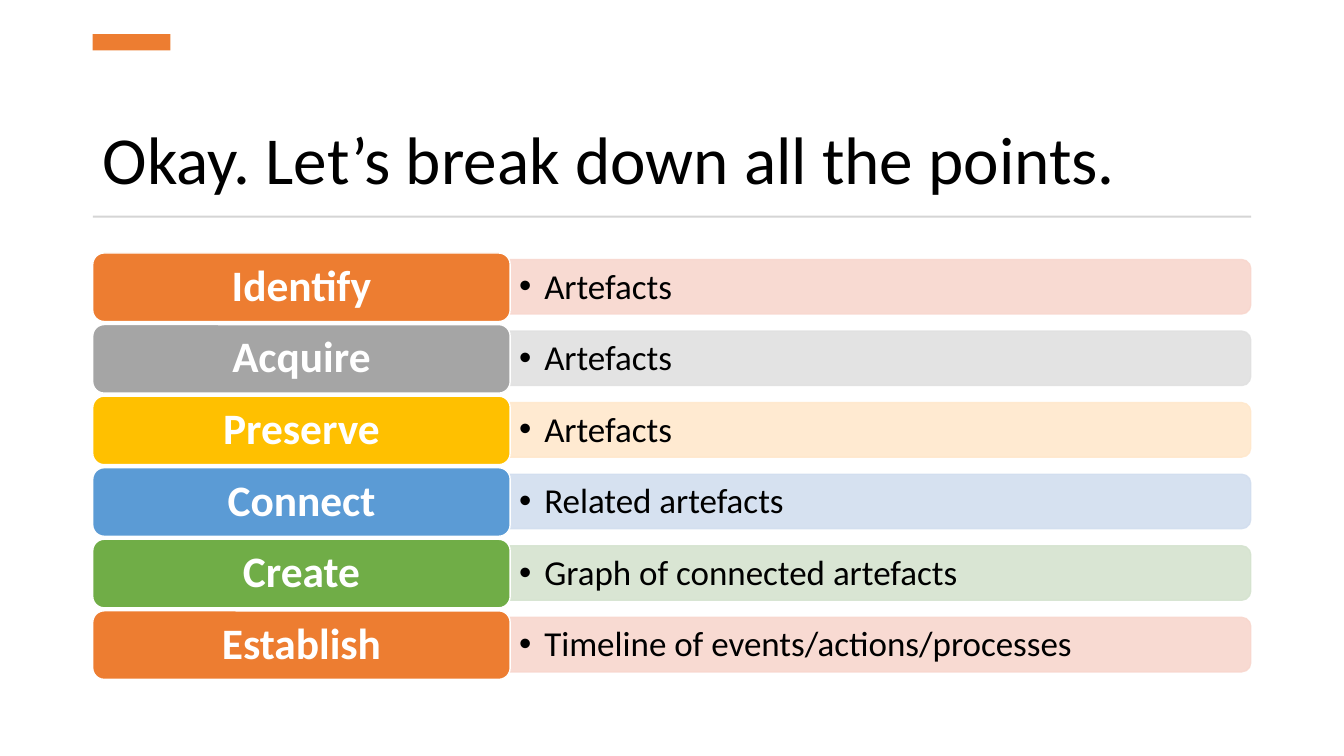
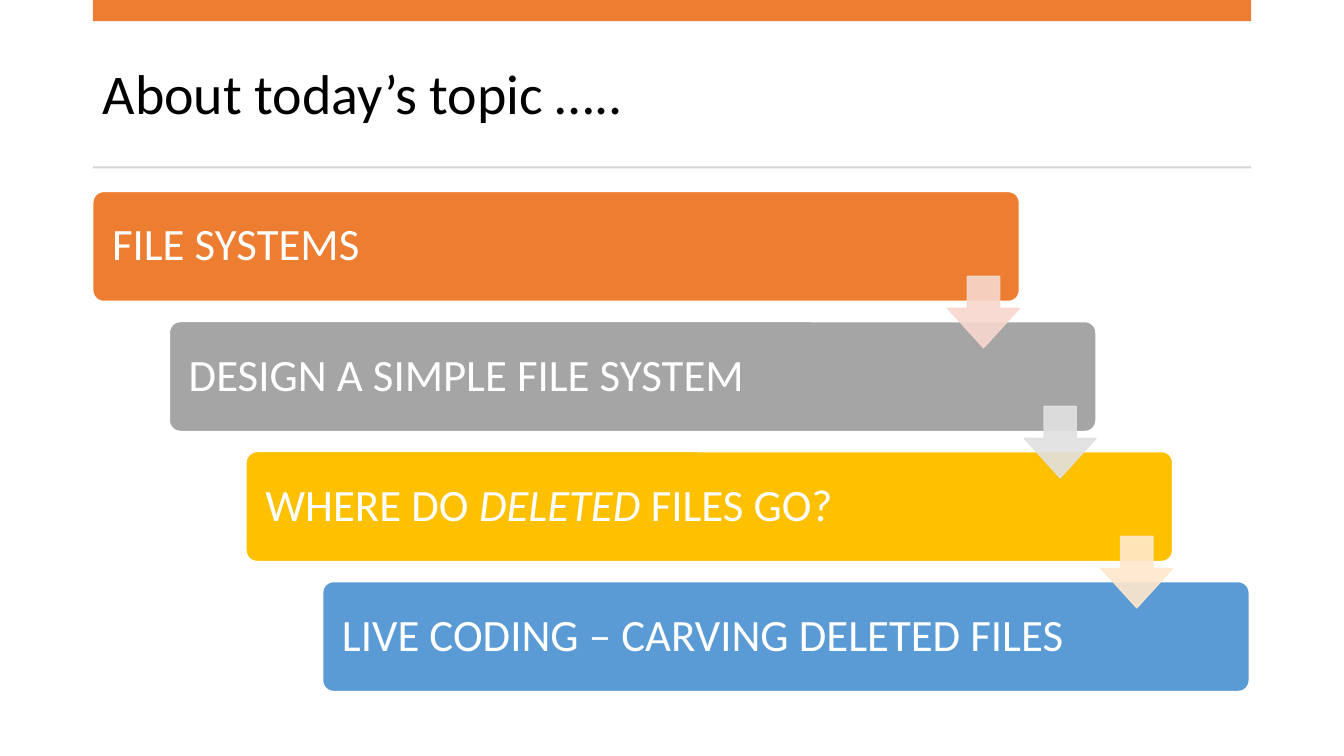
from lxml.etree import SubElement
from pptx import Presentation
from pptx.dml.color import RGBColor
from pptx.enum.shapes import MSO_SHAPE as Shape
from pptx.enum.text import MSO_ANCHOR as Anchor, PP_ALIGN as Align
from pptx.oxml.ns import qn
from pptx.util import Pt

PX = 9144
LEFT, WIDTH = 92, 1149
BLACK, WHITE, RULE = "000000", "FFFFFF", "D5D5D5"
ORANGE, GREY, GOLD, BLUE, GREEN = "ED7D31", "A5A5A5", "FFC000", "5B9BD5", "70AD47"
PALE = {ORANGE: "F8D7CE", GREY: "E1E1E1", GOLD: "FFE8CC", BLUE: "D2DEEF", GREEN: "D5E3CF"}


def draw(slide, kind, box, fill, outline=None, opacity=100, adjust=()):
    shape = slide.shapes.add_shape(kind, *[n * PX for n in box])
    shape.shadow.inherit = False
    for i, value in enumerate(adjust):
        shape.adjustments[i] = value
    shape.fill.solid()
    shape.fill.fore_color.rgb = RGBColor.from_string(fill)
    if outline:
        shape.line.color.rgb = RGBColor.from_string(outline)
        shape.line.width = Pt(1)
    else:
        shape.line.fill.background()
    if opacity < 100:
        for colour in shape.element.spPr.iter(qn("a:srgbClr")):
            SubElement(colour, qn("a:alpha"), val=str(opacity * 1000))
    return shape


def write(shape, text, size, colour, anchor=Anchor.MIDDLE, align=Align.LEFT,
          inset=(10, 5), bold=False, bullet=False):
    frame = shape.text_frame
    frame.word_wrap = True
    frame.vertical_anchor = anchor
    frame.margin_left = frame.margin_right = inset[0] * PX
    frame.margin_top = frame.margin_bottom = inset[1] * PX
    paragraph = frame.paragraphs[0]
    paragraph.alignment = align
    paragraph.line_spacing = 0.9
    if bullet:
        properties = paragraph._p.get_or_add_pPr()
        properties.set("marL", str(25 * PX))
        properties.set("indent", str(-25 * PX))
        SubElement(properties, qn("a:buFont"), typeface="Arial")
        SubElement(properties, qn("a:buChar"), char="•")
    paragraph.font.name = "Calibri"
    paragraph.font.size = Pt(size)
    paragraph.font.bold = bold
    paragraph.font.color.rgb = RGBColor.from_string(colour)
    for i, part in enumerate(text.split("*")):
        run = paragraph.add_run()
        run.text = part
        if i % 2:
            run.font.italic = True


deck = Presentation()
deck.slide_width, deck.slide_height = 1333 * PX, 750 * PX

headings = [
    ("Okay. Let’s break down all the points.", 48, Anchor.BOTTOM, (75, 127), (LEFT, 34, 77, 16), 214),
    ("About today’s topic …..", 40, Anchor.MIDDLE, (37, 118), (LEFT, 0, WIDTH, 21), 165),
]
for heading, size, anchor, (top, height), accent, rule_top in headings:
    slide = deck.slides.add_slide(deck.slide_layouts[6])
    title = slide.shapes.add_textbox(LEFT * PX, top * PX, WIDTH * PX, height * PX)
    write(title, heading, size, BLACK, anchor)
    draw(slide, Shape.RECTANGLE, accent, ORANGE)
    draw(slide, Shape.RECTANGLE, (LEFT, rule_top, WIDTH, 2), RULE)

points_slide, topics_slide = deck.slides

points = [
    ("Identify", "Artefacts", ORANGE),
    ("Acquire", "Artefacts", GREY),
    ("Preserve", "Artefacts", GOLD),
    ("Connect", "Related artefacts", BLUE),
    ("Create", "Graph of connected artefacts", GREEN),
    ("Establish", "Timeline of events/actions/processes", ORANGE),
]
for row, (verb, detail, colour) in enumerate(points):
    top = 251 + 71 * row
    bar = draw(points_slide, Shape.ROUND_2_SAME_RECTANGLE, (846, top - 334, 54, 735),
               PALE[colour], PALE[colour], 90)
    bar.rotation = 90
    detail_box = points_slide.shapes.add_textbox(505 * PX, (top + 10) * PX, 733 * PX, 49 * PX)
    write(detail_box, detail, 25, BLACK, bullet=True)
    label = draw(points_slide, Shape.ROUNDED_RECTANGLE, (LEFT, top, 414, 68), colour, WHITE)
    write(label, verb, 31, WHITE, align=Align.CENTER, inset=(16, 9), bold=True)

topics = [
    ("FILE SYSTEMS", ORANGE),
    ("DESIGN A SIMPLE FILE SYSTEM", GREY),
    ("WHERE DO *DELETED *FILES GO?", GOLD),
    ("LIVE CODING – CARVING DELETED FILES", BLUE),
]
for step, (topic, colour) in enumerate(topics):
    stair = draw(topics_slide, Shape.ROUNDED_RECTANGLE,
                 (LEFT + 76 * step, 190 + 129 * step, 919, 109), colour, WHITE, adjust=[0.1])
    write(stair, topic, 32, WHITE, inset=(16, 16))
for step, (topic, colour) in enumerate(topics[:-1]):
    draw(topics_slide, Shape.DOWN_ARROW, (940 + 76 * step, 274 + 129 * step, 71, 71),
         PALE[colour], PALE[colour], 90, [0.45, 0.55])

deck.save("out.pptx")
